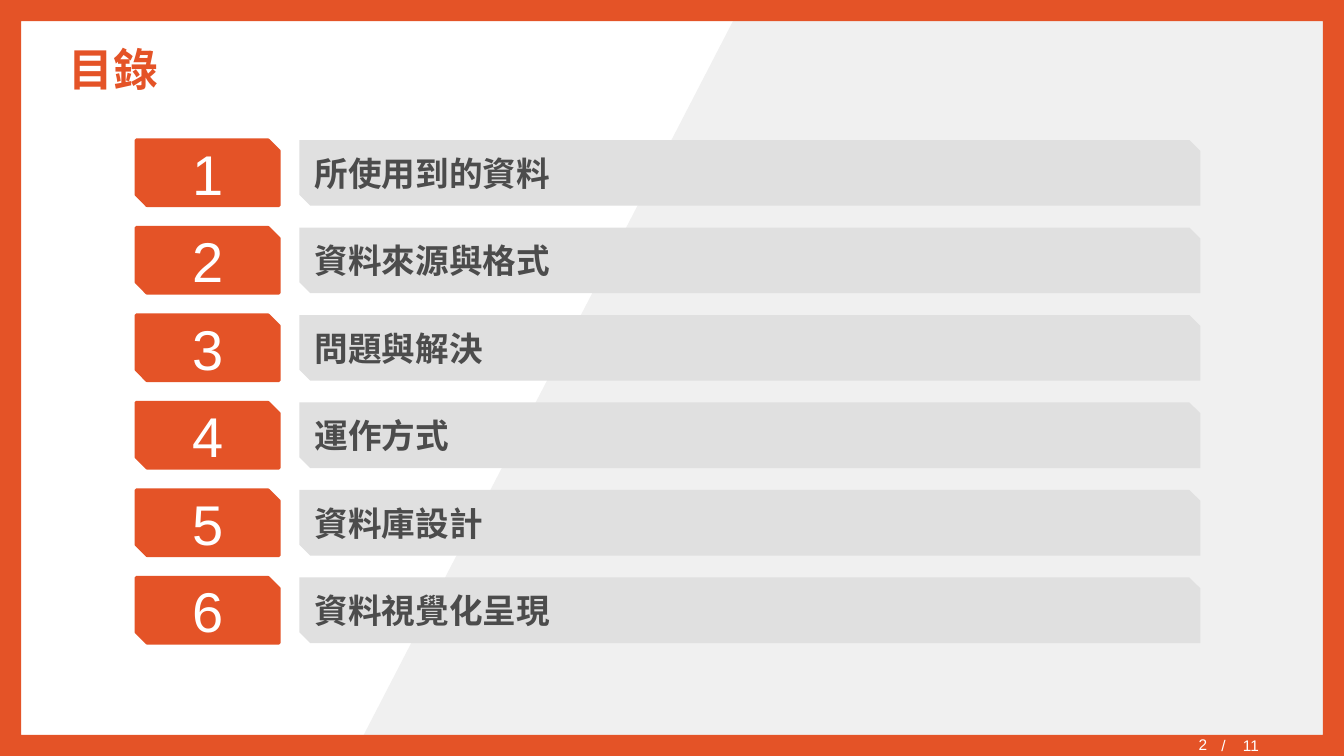
from lxml import etree
from pptx import Presentation
from pptx.dml.color import RGBColor
from pptx.enum.shapes import MSO_SHAPE
from pptx.enum.text import MSO_ANCHOR, PP_ALIGN
from pptx.oxml.ns import qn
from pptx.util import Pt

FRAME = MSO_SHAPE.FRAME
SNIPPED = MSO_SHAPE.SNIP_2_DIAG_RECTANGLE
MIDDLE = MSO_ANCHOR.MIDDLE
LEFT, CENTER, RIGHT = PP_ALIGN.LEFT, PP_ALIGN.CENTER, PP_ALIGN.RIGHT

ORANGE = RGBColor(0xE4, 0x53, 0x27)
WHITE = RGBColor(0xFF, 0xFF, 0xFF)
PALE = RGBColor(0xF0, 0xF0, 0xF0)
BAR = RGBColor(0xE0, 0xE0, 0xE0)
DARK = RGBColor(0x4C, 0x4C, 0x4C)

FONT = "Arial"
SLIDE_W, SLIDE_H = 960, 540
TOPICS = ["所使用到的資料", "資料來源與格式", "問題與解決",
          "運作方式", "資料庫設計", "資料視覺化呈現"]


def paint(sp, fill, line=None):
    sp.shadow.inherit = False
    sp.fill.solid()
    sp.fill.fore_color.rgb = fill
    if line is None:
        sp.line.fill.background()
    else:
        sp.line.color.rgb = line
        sp.line.width = Pt(2.25)


def write(sp, text, size, color, bold=False, align=LEFT):
    tf = sp.text_frame
    tf.word_wrap = True
    tf.vertical_anchor = MIDDLE
    tf.text = text
    p = tf.paragraphs[0]
    p.alignment = align
    for r in p.runs:
        r.font.name = FONT
        r.font.size = Pt(size)
        r.font.bold = bold
        r.font.color.rgb = color
    return tf


def add_text(slide, x, y, w, h, *args, **kwargs):
    sp = slide.shapes.add_textbox(Pt(x), Pt(y), Pt(w), Pt(h))
    return write(sp, *args, **kwargs)


def add_background(slide, w, h):
    """Slanted pale panel on the right, with an orange frame around the slide."""
    fb = slide.shapes.build_freeform(Pt(531.4), 0)
    fb.add_line_segments([(Pt(w), 0), (Pt(w), Pt(h)), (Pt(252), Pt(h))], close=True)
    paint(fb.convert_to_shape(), PALE)
    frame = slide.shapes.add_shape(FRAME, 0, 0, Pt(w), Pt(h))
    frame.adjustments[0] = 0.028
    paint(frame, ORANGE)


def add_page_number(slide, x, y, number, total):
    """Page number ending at x, followed by the slash and the total."""
    tf = add_text(slide, x - 182.5, y + 1.4, 186.5, 13, number, 11, WHITE, align=RIGHT)
    tf.margin_top = 0
    tf = add_text(slide, x, y, 94.3, 13, f"/\t{total}", 11, WHITE)
    pPr = tf.paragraphs[0]._p.get_or_add_pPr()
    tabs = etree.SubElement(pPr, qn("a:tabLst"))
    etree.SubElement(tabs, qn("a:tab"), pos=str(Pt(15.3)), algn="l")


def add_contents(slide, x, y, w, topics):
    row_h, pitch, number_w, gap = 46.8, 62.5, 102.2, 14.4
    bar_x = x + number_w + gap
    for i, topic in enumerate(topics):
        top = Pt(y + i * pitch)
        sp = slide.shapes.add_shape(SNIPPED, Pt(x), top, Pt(number_w), Pt(row_h))
        paint(sp, ORANGE, ORANGE)
        write(sp, str(i + 1), 40, WHITE, align=CENTER)
        sp = slide.shapes.add_shape(SNIPPED, Pt(bar_x), top, Pt(x + w - bar_x), Pt(row_h))
        paint(sp, BAR)
        write(sp, topic, 24, DARK, bold=True)


def main():
    prs = Presentation()
    prs.slide_width, prs.slide_height = Pt(SLIDE_W), Pt(SLIDE_H)
    slide = prs.slides.add_slide(prs.slide_layouts[6])
    add_background(slide, SLIDE_W, SLIDE_H)
    add_text(slide, 41.8, 20.2, 877, 56.9, "目錄", 32, ORANGE, bold=True)
    add_page_number(slide, 865.4, 525.6, "2", "11")
    add_contents(slide, 97.2, 100, 760.3, TOPICS)
    prs.save("out.pptx")


if __name__ == "__main__":
    main()
